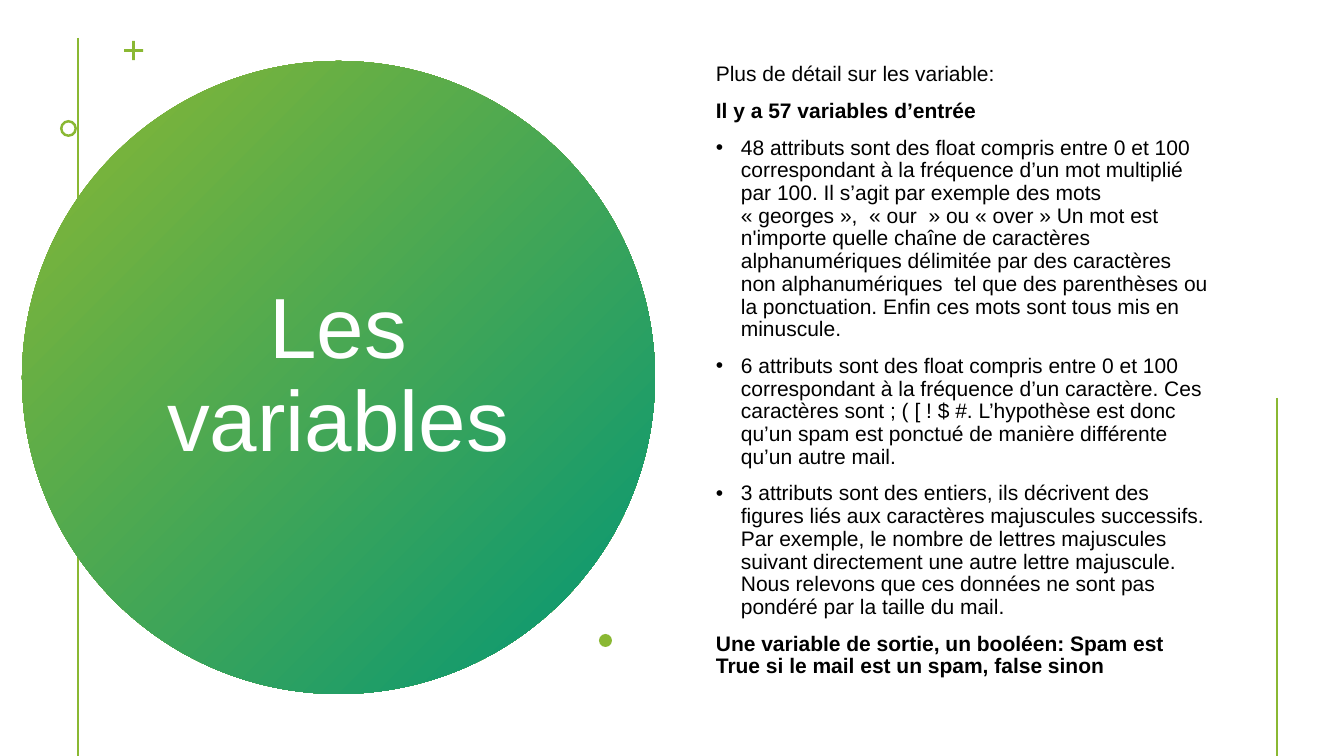
from lxml import etree
from pptx import Presentation
from pptx.dml.color import RGBColor
from pptx.enum.shapes import MSO_CONNECTOR, MSO_SHAPE
from pptx.enum.text import MSO_ANCHOR, PP_ALIGN
from pptx.oxml.ns import qn
from pptx.util import Pt

STRAIGHT = MSO_CONNECTOR.STRAIGHT
OVAL, CROSS, DONUT = MSO_SHAPE.OVAL, MSO_SHAPE.CROSS, MSO_SHAPE.DONUT
MIDDLE, CENTER = MSO_ANCHOR.MIDDLE, PP_ALIGN.CENTER

PIXEL = 914400 / 100.8
GREEN, TEAL, WHITE, BLACK = "8AB833", "029676", "FFFFFF", "000000"
FONT = "Arial"
PLAIN, BOLD, BULLET = "plain", "bold", "bullet"

DETAILS = [
    (PLAIN, "Plus de détail sur les variable:"),
    (BOLD, "Il y a 57 variables d’entrée"),
    (BULLET, "48 attributs sont des float compris entre 0 et 100 correspondant à la "
             "fréquence d’un mot multiplié par 100. Il s’agit par exemple des mots "
             "«\u00a0georges\u00a0»,\u00a0 «\u00a0our\u00a0\u00a0» ou «\u00a0over\u00a0» "
             "Un mot est n'importe quelle chaîne de caractères alphanumériques "
             "délimitée par des caractères non alphanumériques  tel que des "
             "parenthèses ou la ponctuation. Enfin ces mots sont tous mis en minuscule."),
    (BULLET, "6 attributs sont des float compris entre 0 et 100 correspondant à la "
             "fréquence d’un caractère. Ces caractères sont ; ( [ ! $ #. L’hypothèse "
             "est donc qu’un spam est ponctué de manière différente qu’un autre mail."),
    (BULLET, "3 attributs sont des entiers, ils décrivent des figures liés aux "
             "caractères majuscules successifs. Par exemple, le nombre de lettres "
             "majuscules suivant directement une autre lettre majuscule. Nous relevons "
             "que ces données ne sont pas pondéré par la taille du mail."),
    (BOLD, "Une variable de sortie, un booléen: Spam est True si le mail est un spam, "
           "false sinon"),
]


def px(length):
    return round(length * PIXEL)


def color(code):
    return RGBColor.from_string(code)


def add_vertical_line(page, x, top, bottom):
    line = page.shapes.add_connector(STRAIGHT, px(x), px(top), px(x), px(bottom))
    line.line.color.rgb = color(GREEN)
    line.line.width = Pt(2)
    etree.SubElement(line._element.spPr, qn("a:effectLst"))


def add_figure(page, kind, left, top, size, adjustment=None):
    figure = page.shapes.add_shape(kind, px(left), px(top), px(size), px(size))
    figure.shadow.inherit = False
    figure.line.fill.background()
    figure.fill.solid()
    figure.fill.fore_color.rgb = color(GREEN)
    if adjustment is not None:
        figure.adjustments[0] = adjustment
    return figure


def add_text_box(page, left, top, width, height):
    box = page.shapes.add_textbox(px(left), px(top), px(width), px(height))
    box.text_frame.word_wrap = True
    box.text_frame.vertical_anchor = MIDDLE
    return box.text_frame


def format_paragraph(para, size, code, bold=False):
    para.line_spacing = 0.9
    for span in para.runs:
        span.font.name = FONT
        span.font.size = Pt(size)
        span.font.bold = bold
        span.font.color.rgb = color(code)


def add_bullet(para):
    properties = para._p.get_or_add_pPr()
    properties.set("marL", str(px(25)))
    properties.set("indent", str(px(-25)))
    etree.SubElement(properties, qn("a:buFont")).set("typeface", FONT)
    etree.SubElement(properties, qn("a:buChar")).set("char", "•")


def add_title_disc(page, left, top, size):
    disc = add_figure(page, OVAL, left, top, size)
    disc.fill.gradient()
    disc.fill.gradient_angle = 315
    for stop, code in zip(disc.fill.gradient_stops, (GREEN, TEAL)):
        stop.color.rgb = color(code)

    # Title centred on the disc
    frame = add_text_box(page, left + 115, top + 81, 402, 471)
    frame.text = "Les variables"
    title = frame.paragraphs[0]
    title.alignment = CENTER
    format_paragraph(title, 61, WHITE)

    # Small ornaments around the disc
    add_figure(page, CROSS, left + 102, top - 20, 19, 0.43)
    add_figure(page, DONUT, left + 38, top + 59, 17, 0.15)
    add_figure(page, OVAL, left + 577, top + 573, 13)


def add_details(page, left, top, width, height):
    frame = add_text_box(page, left, top, width, height)
    for index, (style, text) in enumerate(DETAILS):
        para = frame.add_paragraph() if index else frame.paragraphs[0]
        para.text = text
        para.space_before = Pt(10)
        format_paragraph(para, 15, BLACK, style == BOLD)
        if style == BULLET:
            add_bullet(para)


deck = Presentation()
deck.slide_width, deck.slide_height = px(1344), px(756)
page = deck.slides.add_slide(deck.slide_layouts[6])

add_vertical_line(page, 78, 38, 756)
add_title_disc(page, 22, 61, 633)
add_details(page, 706, 42, 516, 658)
add_vertical_line(page, 1277, 398, 756)

deck.save("out.pptx")
